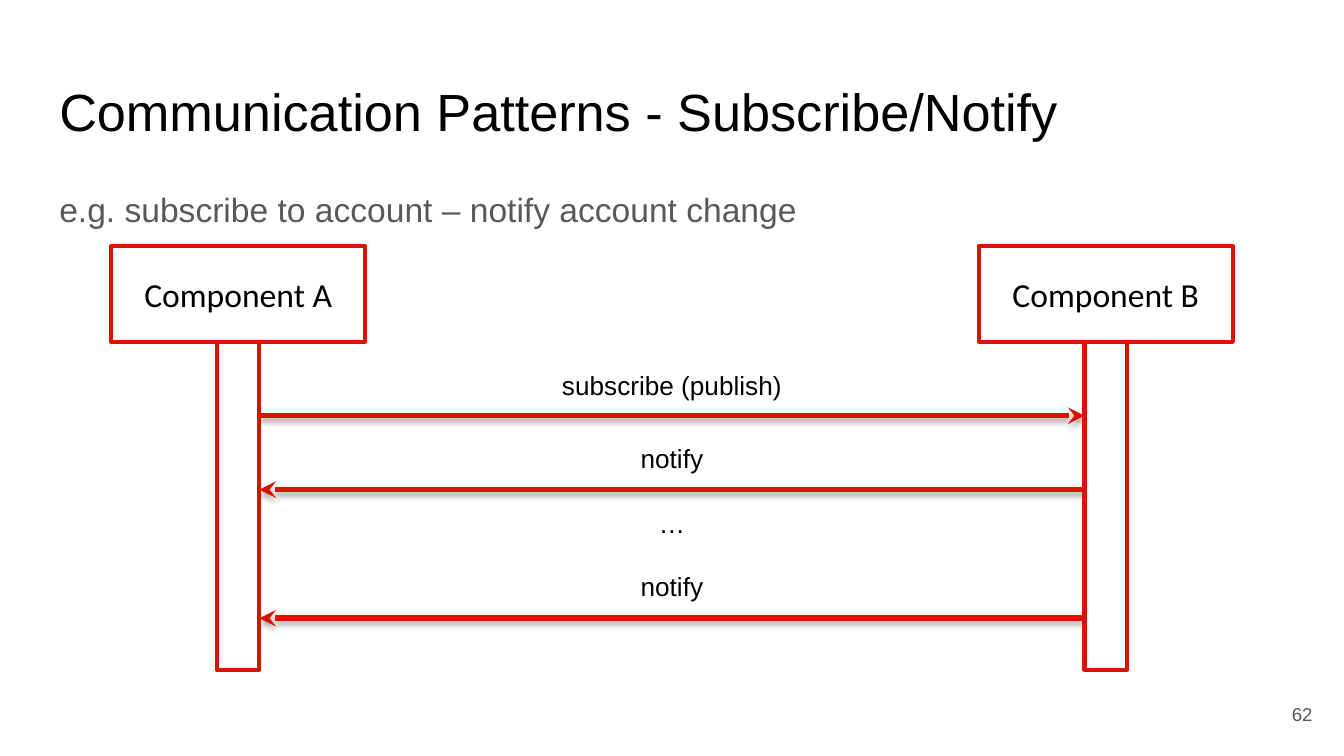
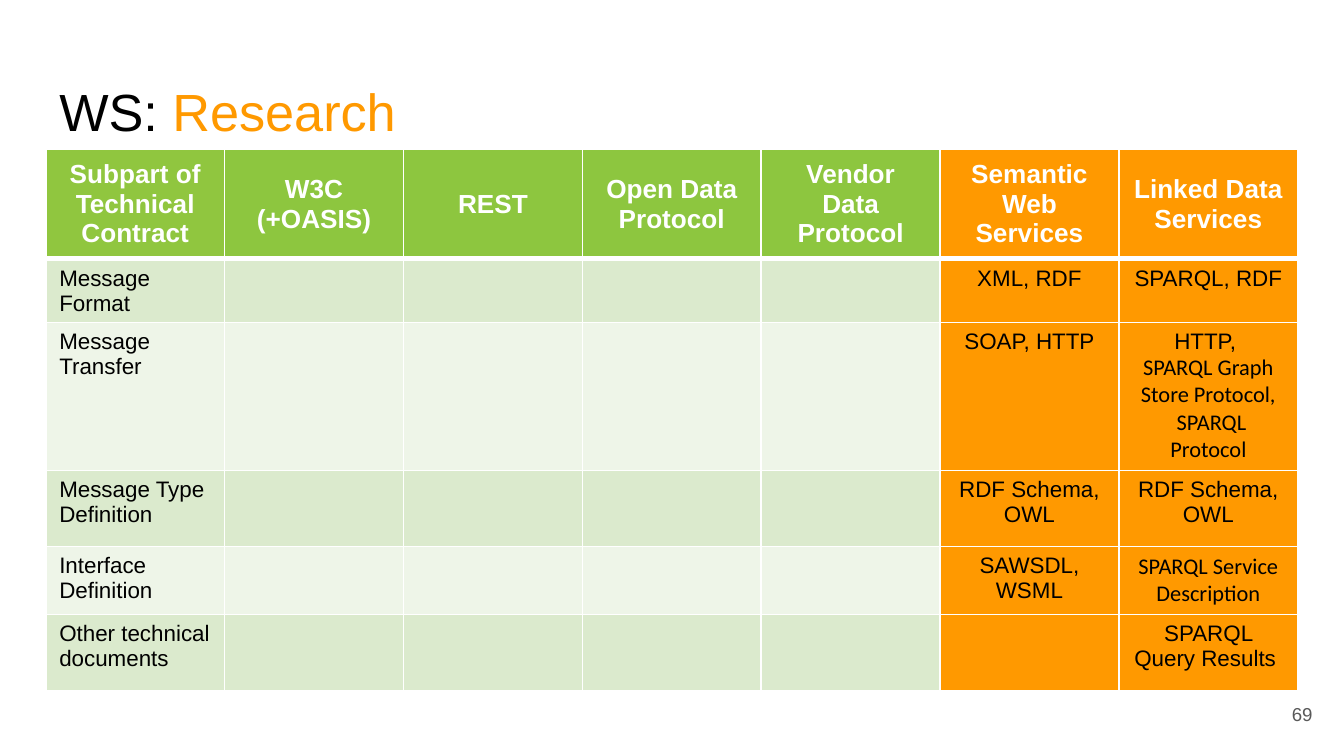
import dataclasses
import typing

import lxml.etree
import pptx
import pptx.dml.color
import pptx.enum.shapes
import pptx.enum.text
import pptx.oxml.ns
import pptx.util

# Grid: 100 columns across a 16:9 slide, square cells
WIDE = pptx.util.Inches(10)
TALL = WIDE * 9 // 16
CELL = WIDE / 100

BLACK, WHITE, GREY = "000000", "FFFFFF", "595959"
RED, GOLD = "D71400", "FF9900"
FIRST, GREEN = "90C63F", "8DC63F"
BANDS = ("DBEACD", "EEF5E8")

ALIGN = pptx.enum.text.PP_ALIGN
ANCHOR = pptx.enum.text.MSO_ANCHOR
FIT = pptx.enum.text.MSO_AUTO_SIZE


@dataclasses.dataclass(frozen=True)
class Look:
    size: float
    color: str = BLACK
    font: str = "Arial"
    bold: bool = False
    align: typing.Any = ALIGN.CENTER
    anchor: typing.Any = ANCHOR.TOP
    inset: tuple[float, float] = (1, 0.5)


class Run(typing.NamedTuple):
    text: str
    color: str | None = None
    font: str | None = None


class Box(typing.NamedTuple):
    left: float
    top: float
    width: float
    height: float


class Call(typing.NamedTuple):
    text: str
    top: float
    line: float | None = None
    back: bool = True


TITLE = Look(28, align=ALIGN.LEFT, inset=(1, 1))
BODY = Look(18, GREY, align=ALIGN.LEFT, inset=(1, 1))
PAGE = Look(10, GREY, align=ALIGN.RIGHT, anchor=ANCHOR.MIDDLE, inset=(1, 1))
PART = Look(18, font="Calibri", anchor=ANCHOR.MIDDLE)
LABEL = Look(14)
HEAD = Look(14, WHITE, bold=True, anchor=ANCHOR.MIDDLE)
SIDE = Look(12, align=ALIGN.LEFT)
ENTRY = Look(12)

Text = str | list[list[Run]]


# Shared helpers
def grid(count: float) -> int:
    return round(count * CELL)


def place(box: Box) -> list[int]:
    return [grid(side) for side in box]


def apply(target: typing.Any, form: dict[str, typing.Any]) -> None:
    for name, value in form.items():
        setattr(target, name, value)


def paint(target: typing.Any, color: str) -> None:
    """Colour a fill, a line or a font."""
    rgb = pptx.dml.color.RGBColor.from_string(color)
    if hasattr(target, "solid"):
        target.solid()
        target.fore_color.rgb = rgb
    else:
        target.color.rgb = rgb


def child(parent: typing.Any, tag: str, **attrs: str) -> typing.Any:
    return lxml.etree.SubElement(parent, pptx.oxml.ns.qn(tag), attrs)


def write(frame: typing.Any, text: Text, look: Look) -> None:
    paras = [[Run(text)]] if isinstance(text, str) else text
    for index, runs in enumerate(paras):
        para = frame.add_paragraph() if index else frame.paragraphs[0]
        para.alignment = look.align
        for item in runs:
            run = para.add_run()
            run.text = item.text
            apply(run.font, {"size": pptx.util.Pt(look.size), "bold": look.bold,
                             "name": item.font or look.font})
            paint(run.font, item.color or look.color)


def fill_frame(frame: typing.Any, text: Text, look: Look) -> None:
    side, edge = map(grid, look.inset)
    apply(frame, {"word_wrap": True, "auto_size": FIT.NONE,
                  "vertical_anchor": look.anchor,
                  "margin_left": side, "margin_right": side,
                  "margin_top": edge, "margin_bottom": edge})
    write(frame, text, look)


def add_text(slide: typing.Any, box: Box, text: Text, look: Look) -> None:
    fill_frame(slide.shapes.add_textbox(*place(box)).text_frame, text, look)


def set_holder(holder: typing.Any, box: Box, text: Text, look: Look) -> None:
    apply(holder, dict(zip(Box._fields, place(box))))
    fill_frame(holder.text_frame, text, look)


def new_slide(deck: typing.Any, layout: int, title: Text, page: str) -> typing.Any:
    slide = deck.slides.add_slide(deck.slide_layouts[layout])
    set_holder(slide.shapes.title, Box(3.41, 4.87, 93.18, 6.26), title, TITLE)
    add_text(slide, Box(92.65, 51, 6, 4.3), page, PAGE)
    return slide


# Sequence chart
MID = 50
REACH = 30.7        # from the middle to the inner edge of a lifeline
BAR = 3.15
PART_WIDE, PART_TALL, PART_TOP = 18.9, 7.14, 18.3
CALLS = (
    Call("subscribe (publish)", 27, 30.93, back=False),
    Call("notify", 32.43, 36.43),
    Call("notify", 41.94, 46),
    Call("…", 37.24),
)


def add_block(slide: typing.Any, box: Box, text: str = "") -> None:
    block = slide.shapes.add_shape(
        pptx.enum.shapes.MSO_SHAPE.RECTANGLE, *place(box))
    block.shadow.inherit = False
    paint(block.fill, WHITE)
    paint(block.line, RED)
    block.line.width = pptx.util.Pt(2.25)
    if text:
        fill_frame(block.text_frame, text, PART)


def add_arrow(slide: typing.Any, start: float, end: float, row: float) -> None:
    arrow = slide.shapes.add_connector(
        pptx.enum.shapes.MSO_CONNECTOR.STRAIGHT,
        grid(start), grid(row), grid(end), grid(row))
    paint(arrow.line, RED)
    arrow.line.width = pptx.util.Pt(3)
    props = arrow._element.spPr
    child(props.find(pptx.oxml.ns.qn("a:ln")), "a:tailEnd", type="stealth")
    shade = child(child(props, "a:effectLst"), "a:outerShdw", blurRad="40000",
                  dist="23000", dir="5400000", rotWithShape="0")
    child(child(shade, "a:srgbClr", val=BLACK), "a:alpha", val="35000")


def build_calls(deck: typing.Any) -> None:
    slide = new_slide(deck, 1, "Communication Patterns - Subscribe/Notify", "62")
    body = slide.placeholders[1]
    para = body.text_frame.paragraphs[0]
    props = para._p.get_or_add_pPr()
    props.set("marL", "0")
    props.set("indent", "0")
    child(props, "a:buNone")
    apply(para, {"line_spacing": 1.15, "space_before": pptx.util.Pt(0),
                 "space_after": pptx.util.Pt(16)})
    set_holder(body, Box(3.41, 12.6, 93.18, 5.1),
               "e.g. subscribe to account – notify account change", BODY)

    # Components
    hubs = [MID + sign * (REACH + BAR / 2) for sign in (-1, 1)]
    for hub, name in zip(hubs, ("Component A", "Component B")):
        add_block(slide, Box(hub - PART_WIDE / 2, PART_TOP, PART_WIDE, PART_TALL),
                  name)

    # Messages
    for call in CALLS:
        if call.line is not None:
            way = -1 if call.back else 1
            add_arrow(slide, MID - way * REACH, MID + way * REACH, call.line)
        add_text(slide, Box(MID - REACH, call.top, 2 * REACH, 4), call.text, LABEL)

    # Lifelines
    for hub in hubs:
        add_block(slide, Box(hub - BAR / 2, PART_TOP + PART_TALL, BAR, 24.4))


# Research table
COL = 13.31
HEADS = ("Subpart of Technical Contract", "W3C (+OASIS)", "REST",
         "Open Data Protocol", "Vendor Data Protocol",
         "Semantic Web Services", "Linked Data Services")
GOLD_FROM = 5
ROWS: tuple[tuple[float, str, Text, Text], ...] = (
    (4, "Message Format", "XML, RDF", "SPARQL, RDF"),
    (8.3, "Message Transfer", "SOAP, HTTP", [
        [Run("HTTP, ")],
        [Run("SPARQL Graph Store Protocol,", font="Calibri")],
        [Run(" "), Run("SPARQL Protocol", font="Calibri")]]),
    (5.65, "Message Type Definition", "RDF Schema, OWL", "RDF Schema, OWL"),
    (4, "Interface Definition", "SAWSDL, WSML",
     [[Run("SPARQL Service Description", font="Calibri")]]),
    (5.65, "Other technical documents", "", "SPARQL Query Results "),
)


def set_cell(cell: typing.Any, text: Text, look: Look, color: str,
             top: float = 1, base: float = 1) -> None:
    props = cell._tc.get_or_add_tcPr()
    for side, points in zip("LRTB", (1, 1, top, base)):
        edge = child(props, f"a:ln{side}", w=str(pptx.util.Pt(points)))
        child(child(edge, "a:solidFill"), "a:srgbClr", val=WHITE)
    paint(cell.fill, color)
    cell.vertical_anchor = look.anchor
    if text:
        write(cell.text_frame, text, look)


def build_table(deck: typing.Any) -> None:
    slide = new_slide(deck, 5, [[Run("WS: "), Run("Research", GOLD)]], "69")
    highs = [8.14] + [row[0] for row in ROWS]
    box = Box(3.41, 11.13, COL * len(HEADS), sum(highs))
    table = slide.shapes.add_table(len(highs), len(HEADS), *place(box)).table
    for column in table.columns:
        column.width = grid(COL)
    for row, high in zip(table.rows, highs):
        row.height = grid(high)

    # Header row
    for col, head in enumerate(HEADS):
        color = GOLD if col >= GOLD_FROM else GREEN if col else FIRST
        set_cell(table.cell(0, col), head, HEAD, color, base=3)

    # Body rows, with the middle columns left open
    for index, (_, name, web, linked) in enumerate(ROWS):
        texts = [name] + [""] * (GOLD_FROM - 1) + [web, linked]
        for col, text in enumerate(texts):
            color = GOLD if col >= GOLD_FROM else BANDS[index % 2]
            set_cell(table.cell(index + 1, col), text, ENTRY if col else SIDE,
                     color, top=1 if index else 3)


def main() -> None:
    deck = pptx.Presentation()
    apply(deck, {"slide_width": WIDE, "slide_height": TALL})
    build_calls(deck)
    build_table(deck)
    deck.save("out.pptx")


if __name__ == "__main__":
    main()
